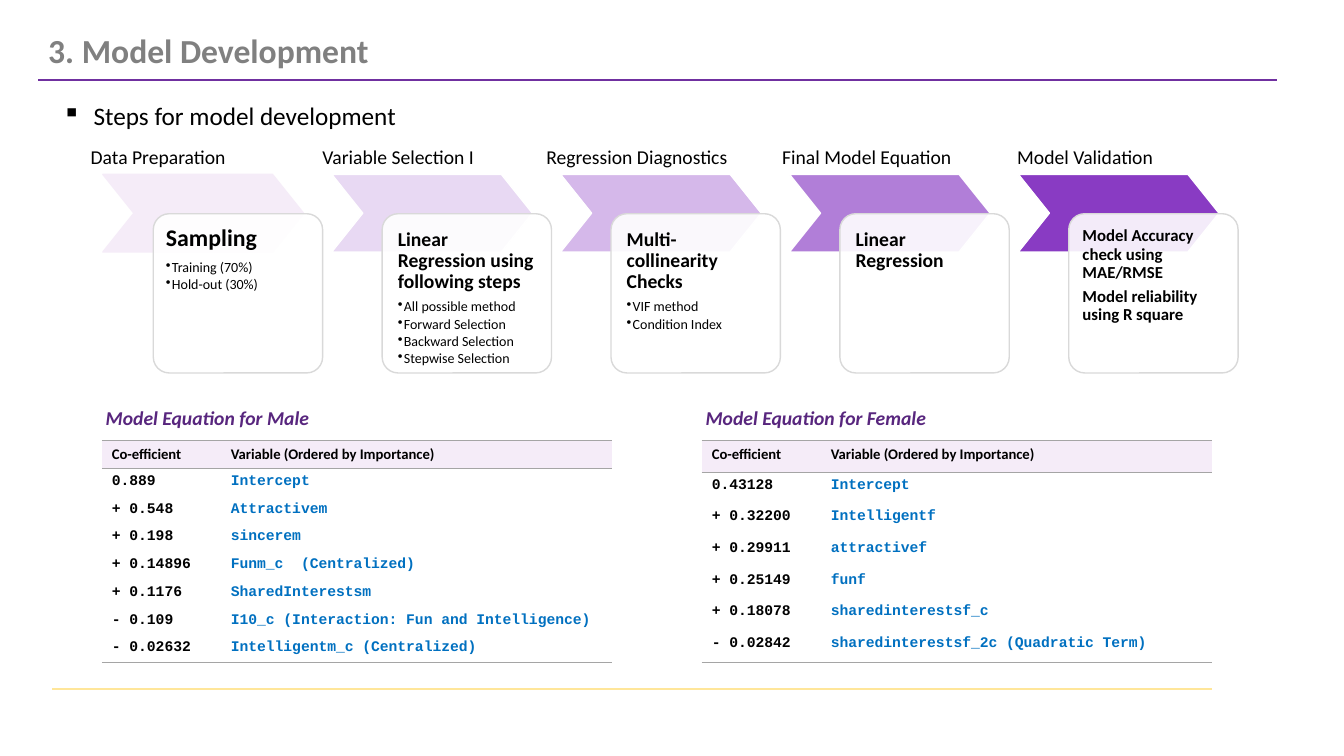
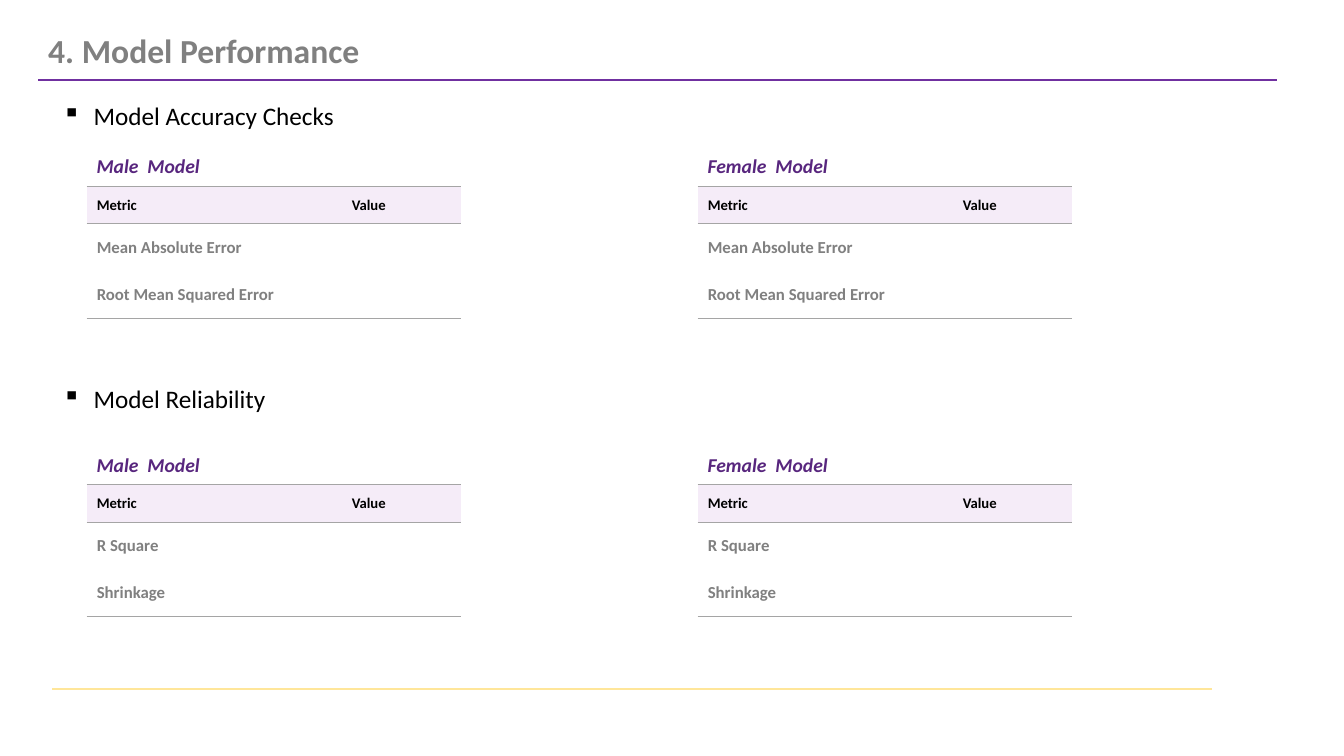
from lxml import etree
from pptx import Presentation
from pptx.dml.color import RGBColor
from pptx.enum.shapes import MSO_CONNECTOR, MSO_SHAPE
from pptx.enum.text import MSO_ANCHOR
from pptx.oxml.ns import qn
from pptx.util import Pt

PX = 9144
STRAIGHT = MSO_CONNECTOR.STRAIGHT
CHEVRON = MSO_SHAPE.CHEVRON
ROUNDED = MSO_SHAPE.ROUNDED_RECTANGLE
TOP = MSO_ANCHOR.TOP
MIDDLE = MSO_ANCHOR.MIDDLE
NO_STYLE = "{2D5ABB26-0587-4C30-8999-92F81FD0307C}"

rgb = RGBColor.from_string
BLACK, WHITE, GRAY = "000000", "FFFFFF", "808080"
PURPLE, YELLOW, INDIGO = "7030A0", "FFE699", "58267E"
LILAC, BLUE, BORDER, CARD_LINE = "F5ECF8", "0070C0", "A5A5A5", "D9D9D9"

STYLES = {
    "title": dict(size=24, color=GRAY, bold=True),
    "bullet": dict(size=18, bullet="▪", indent=31),
    "step": dict(size=14),
    "heading": dict(size=14, color=INDIGO, bold=True, italic=True),
}
HEADER = dict(size=10.5, bold=True)
COEFFICIENT = dict(size=10.5, bold=True, font="Courier New")
VARIABLE = dict(COEFFICIENT, color=BLUE)
METRIC = dict(size=12, bold=True, color=GRAY)


def write(p, text, size, color=BLACK, bold=False, italic=False,
          font="Calibri", bullet=None, indent=0):
    r = p.add_run()
    r.text = text
    r.font.name = font
    r.font.size = Pt(size)
    r.font.bold = bold
    r.font.italic = italic
    r.font.color.rgb = rgb(color)
    if bullet:
        pPr = p._p.get_or_add_pPr()
        pPr.set("marL", str(indent * PX))
        pPr.set("indent", str(-indent * PX))
        etree.SubElement(pPr, qn("a:buChar")).set("char", bullet)


def add_table(s, x, y, widths, heights, rows, styles, anchor):
    frame = s.shapes.add_table(len(rows), len(widths), x * PX, y * PX,
                               sum(widths) * PX, int(sum(heights) * PX))
    table = frame.table
    table.first_row = table.horz_banding = False
    table._tbl.tblPr.find(qn("a:tableStyleId")).text = NO_STYLE
    for column, width in zip(table.columns, widths):
        column.width = width * PX
    for i, (row, height) in enumerate(zip(rows, heights)):
        table.rows[i].height = int(height * PX)
        edges = {0: ["a:lnT", "a:lnB"], len(rows) - 1: ["a:lnB"]}.get(i, [])
        for j, text in enumerate(row):
            cell = table.cell(i, j)
            cell.vertical_anchor = anchor
            cell.fill.solid()
            cell.fill.fore_color.rgb = rgb(WHITE if i else LILAC)
            if text:
                write(cell.text_frame.paragraphs[0], text,
                      **(styles[j] if i else HEADER))
            tcPr = cell._tc.get_or_add_tcPr()
            for k, edge in enumerate(edges):
                ln = etree.Element(qn(edge), w="12700")
                solid = etree.SubElement(ln, qn("a:solidFill"))
                etree.SubElement(solid, qn("a:srgbClr")).set("val", BORDER)
                tcPr.insert(k, ln)


prs = Presentation()
prs.slide_width = 1333 * PX
prs.slide_height = 750 * PX

development = [
    ("title", 38, 25, 341, 50, "3. Model Development"),
    ("bullet", 52, 95, 1229, 71, "Steps for model development"),
    ("step", 80, 139, 159, 34, "Data Preparation"),
    ("step", 310, 139, 174, 34, "Variable Selection I"),
    ("step", 532, 139, 202, 34, "Regression Diagnostics"),
    ("step", 766, 139, 190, 34, "Final Model Equation"),
    ("step", 999, 139, 157, 34, "Model Validation"),
    ("heading", 95, 398, 230, 34, "Model Equation for Male"),
    ("heading", 690, 398, 266, 34, "Model Equation for Female"),
]
performance = [
    ("title", 38, 25, 332, 50, "4. Model Performance"),
    ("bullet", 52, 95, 340, 71, "Model Accuracy Checks"),
    ("bullet", 52, 375, 340, 71, "Model Reliability"),
]
MODELS = [(86, "Male  Model"), (692, "Female  Model")]
CHECKS = [
    (148, ["Mean Absolute Error", "Root Mean Squared Error"]),
    (444, ["R Square", "Shrinkage"]),
]
for y, metrics in CHECKS:
    for x, model in MODELS:
        performance.append(("heading", x, y, 230, 34, model))

slides = []
for texts in (development, performance):
    s = prs.slides.add_slide(prs.slide_layouts[6])
    slides.append(s)
    for x1, x2, y, color in [(38, 1267, 79, PURPLE), (52, 1202, 684, YELLOW)]:
        line = s.shapes.add_connector(STRAIGHT, x1 * PX, y * PX, x2 * PX, y * PX)
        line.line.color.rgb = rgb(color)
        line.line.width = Pt(1.5)
        etree.SubElement(line._element.spPr, qn("a:effectLst"))
    for style, x, y, w, h, text in texts:
        sp = s.shapes.add_textbox(x * PX, y * PX, w * PX, h * PX)
        sp.text_frame.word_wrap = style not in ("title", "step")
        write(sp.text_frame.paragraphs[0], text, **STYLES[style])

s = slides[0]
CARDS = [
    (LILAC, LILAC, 8, 17, ["Sampling"], ["Training (70%)", "Hold-out (30%)"]),
    ("E8D9F3", WHITE, 11, 14, ["Linear Regression using following steps"],
     ["All possible method", "Forward Selection",
      "Backward Selection", "Stepwise Selection"]),
    ("D5B8EA", WHITE, 11, 14, ["Multi-collinearity Checks"],
     ["VIF method", "Condition Index"]),
    ("B17ED8", WHITE, 11, 14, ["Linear Regression"], []),
    ("893BC3", WHITE, 9, 12, ["Model Accuracy check using MAE/RMSE",
                              "Model reliability using R square"], []),
]
for i, (fill, outline, inset, size, heads, items) in enumerate(CARDS):
    x = 102 + 227 * i
    chevron = s.shapes.add_shape(CHEVRON, x * PX, 173 * PX, 199 * PX, 77 * PX)
    card = s.shapes.add_shape(ROUNDED, (x + 50) * PX, 212 * PX, 168 * PX, 158 * PX)
    for sp, color, edge, adj in [(chevron, fill, outline, 0.4),
                                 (card, WHITE, CARD_LINE, 0.1)]:
        sp.adjustments[0] = adj
        sp.shadow.inherit = False
        sp.fill.solid()
        sp.fill.fore_color.rgb = rgb(color)
        sp.line.color.rgb = rgb(edge)
        sp.line.width = Pt(1)
    clr = card._element.spPr.find(qn("a:solidFill")).find(qn("a:srgbClr"))
    etree.SubElement(clr, qn("a:alpha")).set("val", "90000")
    tf = card.text_frame
    tf.word_wrap = True
    tf.vertical_anchor = TOP
    tf.margin_left = tf.margin_right = inset * PX
    tf.margin_top = tf.margin_bottom = inset * PX
    lines = [(t, dict(size=size, bold=True), 0.35) for t in heads]
    lines += [(t, dict(size=10, bullet="•", indent=6), 0.15) for t in items]
    for k, (text, style, gap) in enumerate(lines):
        p = tf.add_paragraph() if k else tf.paragraphs[0]
        p.alignment = 1
        p.line_spacing = 0.9
        p.space_after = Pt(style["size"] * gap)
        write(p, text, **style)

EQUATIONS = [
    (101, [("0.889", "Intercept"),
           ("+ 0.548", "Attractivem"),
           ("+ 0.198", "sincerem"),
           ("+ 0.14896", "Funm_c  (Centralized)"),
           ("+ 0.1176", "SharedInterestsm"),
           ("- 0.109", "I10_c (Interaction: Fun and Intelligence)"),
           ("- 0.02632", "Intelligentm_c (Centralized)")]),
    (696, [("0.43128", "Intercept"),
           ("+ 0.32200", "Intelligentf"),
           ("+ 0.29911", "attractivef"),
           ("+ 0.25149", "funf"),
           ("+ 0.18078", "sharedinterestsf_c"),
           ("- 0.02842", "sharedinterestsf_2c (Quadratic Term)")]),
]
for x, terms in EQUATIONS:
    rows = [("Co-efficient", "Variable (Ordered by Importance)")] + terms
    add_table(s, x, 437, [118, 388], [220 / len(rows)] * len(rows), rows,
              [COEFFICIENT, VARIABLE], TOP)

s = slides[1]
for y, metrics in CHECKS:
    rows = [("Metric", "Value")] + [(metric, "") for metric in metrics]
    for x, model in MODELS:
        add_table(s, x, y + 37, [253, 118], [37, 47, 47], rows,
                  [METRIC, METRIC], MIDDLE)

prs.save("out.pptx")
